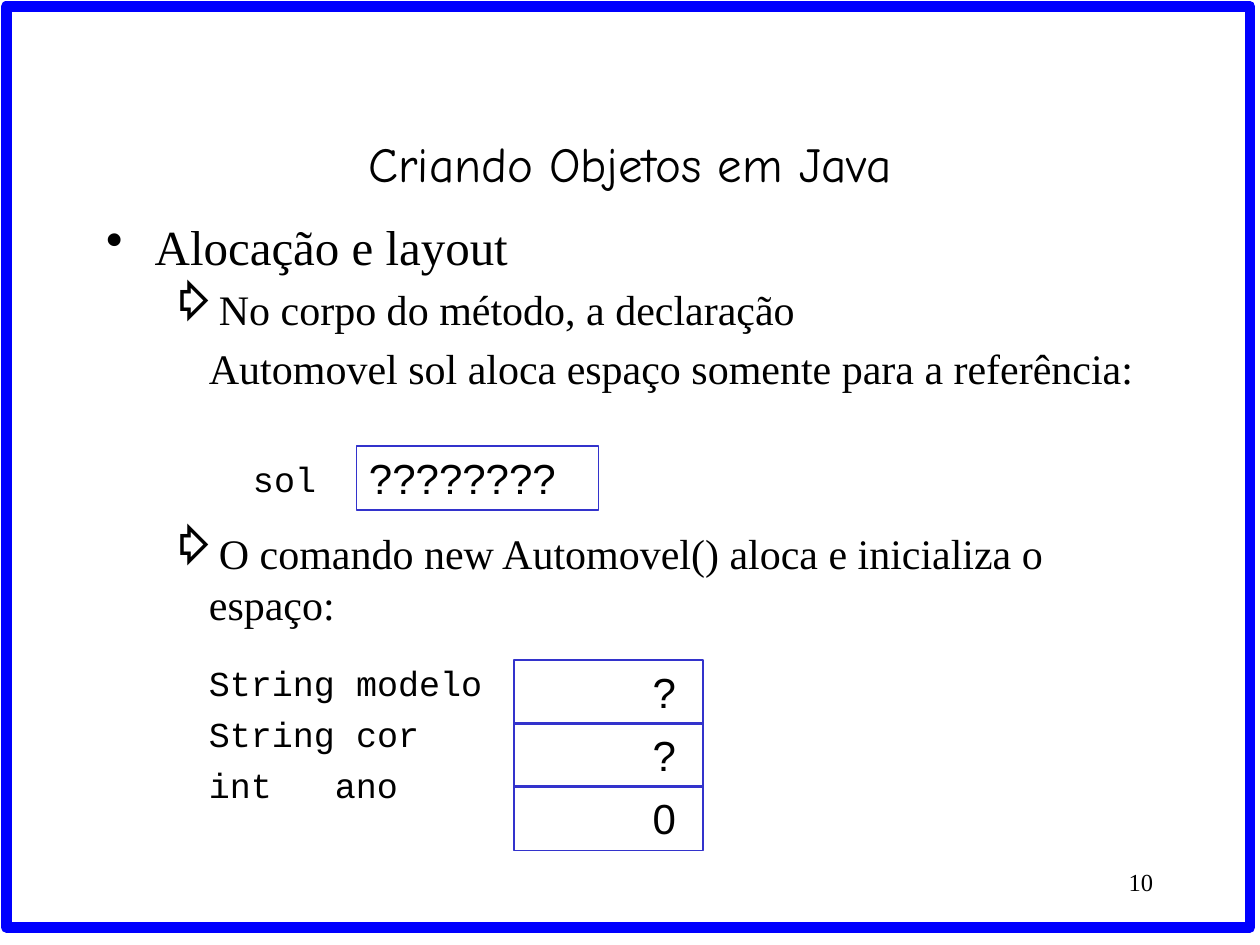
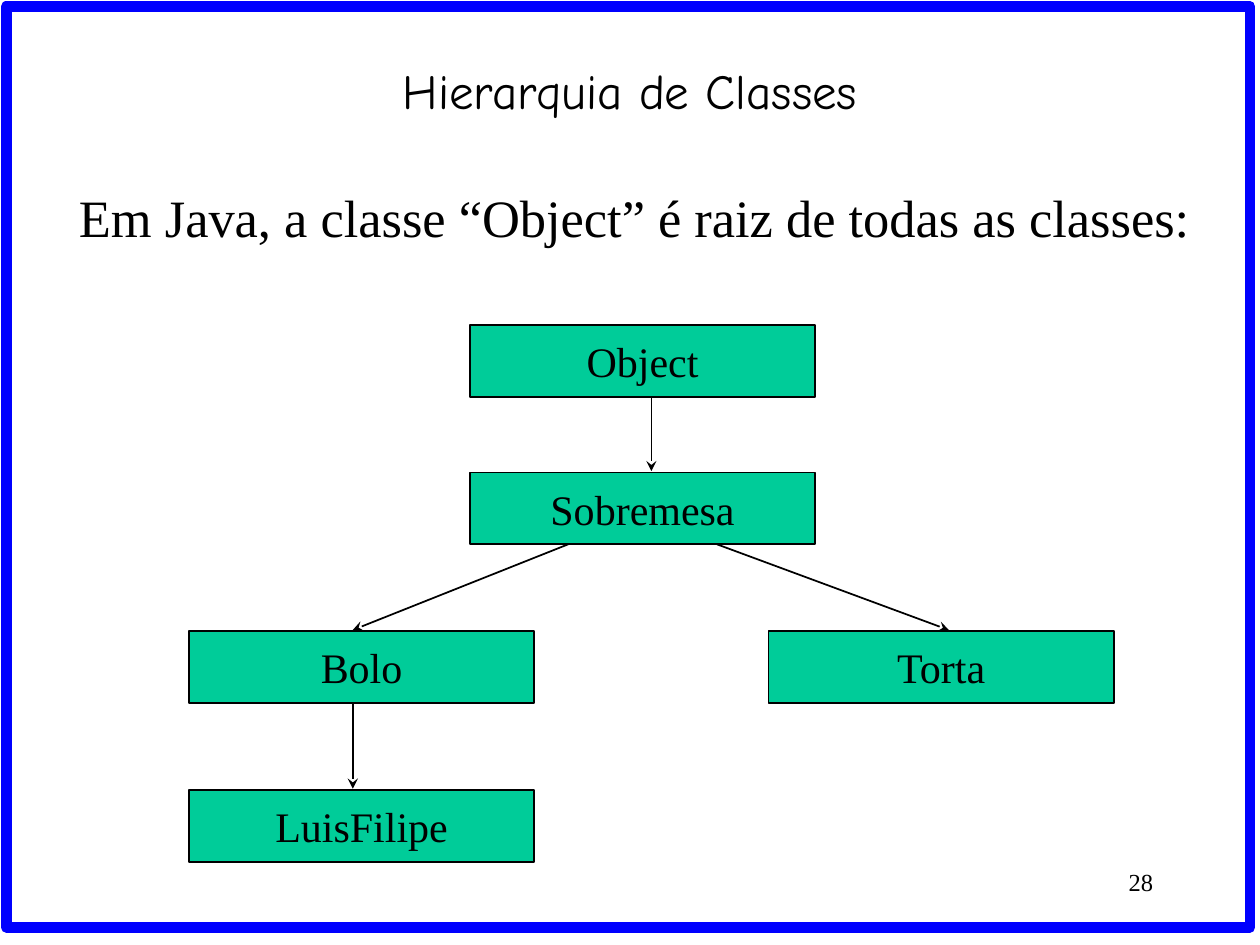
"""Build two slides on Java objects and class hierarchy."""
from dataclasses import dataclass

from lxml import etree
from pptx import Presentation
from pptx.dml.color import RGBColor
from pptx.enum.shapes import MSO_CONNECTOR, MSO_SHAPE
from pptx.enum.text import MSO_ANCHOR, PP_ALIGN
from pptx.oxml.ns import qn
from pptx.shapes.autoshape import Shape
from pptx.slide import Slide
from pptx.util import Inches, Pt

BLACK = RGBColor(0x00, 0x00, 0x00)
FRAME_BLUE = RGBColor(0x00, 0x00, 0xFF)
MEMORY_BLUE = RGBColor(0x33, 0x33, 0xCC)
CLASS_GREEN = RGBColor(0x00, 0xCC, 0x99)
TITLE_FONT, TEXT_FONT = "Comic Neue", "Times New Roman"
CODE_FONT, VALUE_FONT = "Courier New", "Arial"
LEFT, CENTER, RIGHT = PP_ALIGN.LEFT, PP_ALIGN.CENTER, PP_ALIGN.RIGHT
TOP, MIDDLE = MSO_ANCHOR.TOP, MSO_ANCHOR.MIDDLE
RECTANGLE, STRAIGHT = MSO_SHAPE.RECTANGLE, MSO_CONNECTOR.STRAIGHT
CELL_HEIGHT = 0.51
CLASS_WIDTH, CLASS_HEIGHT = 2.74, 0.57


@dataclass(frozen=True)
class Area:
    """Position and size in inches."""

    left: float
    top: float
    width: float
    height: float

    def lengths(self) -> tuple[Inches, ...]:
        """Return the four lengths for python-pptx."""
        return tuple(map(Inches, (self.left, self.top, self.width, self.height)))


@dataclass(frozen=True)
class TextStyle:
    """Font, size and placement of a text."""

    font: str
    size: float
    align: PP_ALIGN = LEFT
    anchor: MSO_ANCHOR = TOP


@dataclass(frozen=True)
class Line:
    """One body paragraph; the indents are in inches, the gap in points."""

    text: str
    font: str = TEXT_FONT
    size: float = 24
    before: float = 4.8
    bullet: str = ""
    margin: float = 0.81
    hanging: float = 0.31


@dataclass(frozen=True)
class Arrow:
    """Start and end of an arrow in inches."""

    x1: float
    y1: float
    x2: float
    y2: float


TITLE = TextStyle(TITLE_FONT, 28, CENTER, MIDDLE)
PAGE_NUMBER = TextStyle(TEXT_FONT, 14, RIGHT)
INTRO = TextStyle(TEXT_FONT, 30, CENTER)
CLASS_NAME = TextStyle(TEXT_FONT, 24, CENTER, MIDDLE)
VALUE = TextStyle(VALUE_FONT, 24)
CODE = TextStyle(CODE_FONT, 20)

BODY = (
    Line("Alocação e layout", size=28, before=0, bullet="•", margin=0.38, hanging=0.38),
    Line("No corpo do método, a declaração", bullet="⇨"),
    Line("Automovel sol aloca espaço somente para a referência:"),
    Line("O comando new Automovel() aloca e inicializa o espaço:", before=77, bullet="⇨"),
    Line("String modelo", CODE_FONT, 20, 18.7),
    Line("String cor", CODE_FONT, 20, 5.2),
    Line("int\tano", CODE_FONT, 20, 5.2),
)
FIELD_VALUES = ("?", "?", "0")
CLASSES = (
    ("Object", 3.73, 2.58),
    ("Sobremesa", 3.73, 3.75),
    ("Bolo", 1.5, 5.01),
    ("Torta", 6.1, 5.01),
    ("LuisFilipe", 1.5, 6.27),
)
ARROWS = (
    Arrow(5.17, 3.16, 5.17, 3.74),
    Arrow(4.51, 4.32, 2.8, 5),
    Arrow(5.69, 4.32, 7.53, 5),
    Arrow(2.8, 5.58, 2.8, 6.26),
)


def write(shape: Shape, text: str, style: TextStyle, inset: float = 0.1) -> None:
    """Put one styled paragraph into a shape."""
    frame = shape.text_frame
    frame.word_wrap = True
    frame.vertical_anchor = style.anchor
    frame.margin_left = Inches(inset)
    paragraph = frame.paragraphs[0]
    paragraph.text = text
    paragraph.alignment = style.align
    paragraph.font.name = style.font
    paragraph.font.size = Pt(style.size)
    paragraph.font.color.rgb = BLACK


def add_text(slide: Slide, area: Area, text: str, style: TextStyle) -> None:
    """Add a text box with one paragraph."""
    write(slide.shapes.add_textbox(*area.lengths()), text, style)


def add_box(slide: Slide, area: Area, line: RGBColor, weight: float = 1,
            fill: RGBColor | None = None) -> Shape:
    """Add an outlined rectangle, filled if a colour is given."""
    box = slide.shapes.add_shape(RECTANGLE, *area.lengths())
    box.shadow.inherit = False
    box.line.color.rgb = line
    box.line.width = Pt(weight)
    if fill is None:
        box.fill.background()
    else:
        box.fill.solid()
        box.fill.fore_color.rgb = fill
    return box


def add_arrow(slide: Slide, arrow: Arrow) -> None:
    """Add a black line with a stealth arrowhead at its end."""
    ends = map(Inches, (arrow.x1, arrow.y1, arrow.x2, arrow.y2))
    connector = slide.shapes.add_connector(STRAIGHT, *ends)
    connector.line.color.rgb = BLACK
    connector.line.width = Pt(1)
    etree.SubElement(connector.line._get_or_add_ln(), qn("a:tailEnd"), type="stealth")
    etree.SubElement(connector._element.spPr, qn("a:effectLst"))


def add_body(slide: Slide, area: Area, lines: tuple[Line, ...]) -> None:
    """Add the indented body paragraphs with their bullets."""
    frame = slide.shapes.add_textbox(*area.lengths()).text_frame
    frame.word_wrap = True
    for index, line in enumerate(lines):
        paragraph = frame.add_paragraph() if index else frame.paragraphs[0]
        paragraph.text = line.text
        paragraph.space_before = Pt(line.before)
        paragraph.font.name = line.font
        paragraph.font.size = Pt(line.size)
        paragraph.font.color.rgb = BLACK
        properties = paragraph._p.get_or_add_pPr()
        properties.set("marL", str(Inches(line.margin)))
        properties.set("indent", str(-Inches(line.hanging) if line.bullet else 0))
        if line.bullet:
            bullet = etree.Element(qn("a:buChar"), char=line.bullet)
            properties.find(qn("a:defRPr")).addprevious(bullet)


def add_page(deck: Presentation, title: str, title_area: Area, number: int) -> Slide:
    """Add a blank slide with the frame, title and page number."""
    slide = deck.slides.add_slide(deck.slide_layouts[6])
    add_box(slide, Area(0.05, 0.05, 9.87, 7.31), FRAME_BLUE, 6)
    add_text(slide, Area(7.17, 6.83, 2.08, 0.5), str(number), PAGE_NUMBER)
    add_text(slide, title_area, title, TITLE)
    return slide


def build_allocation(deck: Presentation) -> None:
    """Build the slide on reference and object allocation."""
    slide = add_page(deck, "Criando Objetos em Java", Area(0.75, 0.67, 8.5, 1.25), 10)
    add_body(slide, Area(0.75, 1.67, 8.5, 5), BODY)
    add_text(slide, Area(1.91, 3.58, 0.7, 0.43), "sol", CODE)
    reference = add_box(slide, Area(2.83, 3.54, 1.92, CELL_HEIGHT), MEMORY_BLUE)
    write(reference, "????????", VALUE)
    for row, value in enumerate(FIELD_VALUES):
        cell = add_box(slide, Area(4.08, 5.24 + row * 0.5, 1.5, CELL_HEIGHT), MEMORY_BLUE)
        write(cell, value, VALUE, inset=1.1)


def build_hierarchy(deck: Presentation) -> None:
    """Build the slide with the class tree."""
    slide = add_page(deck, "Hierarquia de Classes", Area(0.75, 0.17, 8.5, 1.08), 28)
    add_text(slide, Area(0.33, 1.42, 9.42, 0.75),
             "Em Java, a classe “Object” é raiz de todas as classes:", INTRO)
    for name, left, top in CLASSES:
        area = Area(left, top, CLASS_WIDTH, CLASS_HEIGHT)
        write(add_box(slide, area, BLACK, fill=CLASS_GREEN), name, CLASS_NAME)
    for arrow in ARROWS:
        add_arrow(slide, arrow)


def main() -> None:
    """Create and save the deck."""
    deck = Presentation()
    deck.slide_width, deck.slide_height = Inches(10), Inches(7.5)
    build_allocation(deck)
    build_hierarchy(deck)
    deck.save("out.pptx")


if __name__ == "__main__":
    main()
